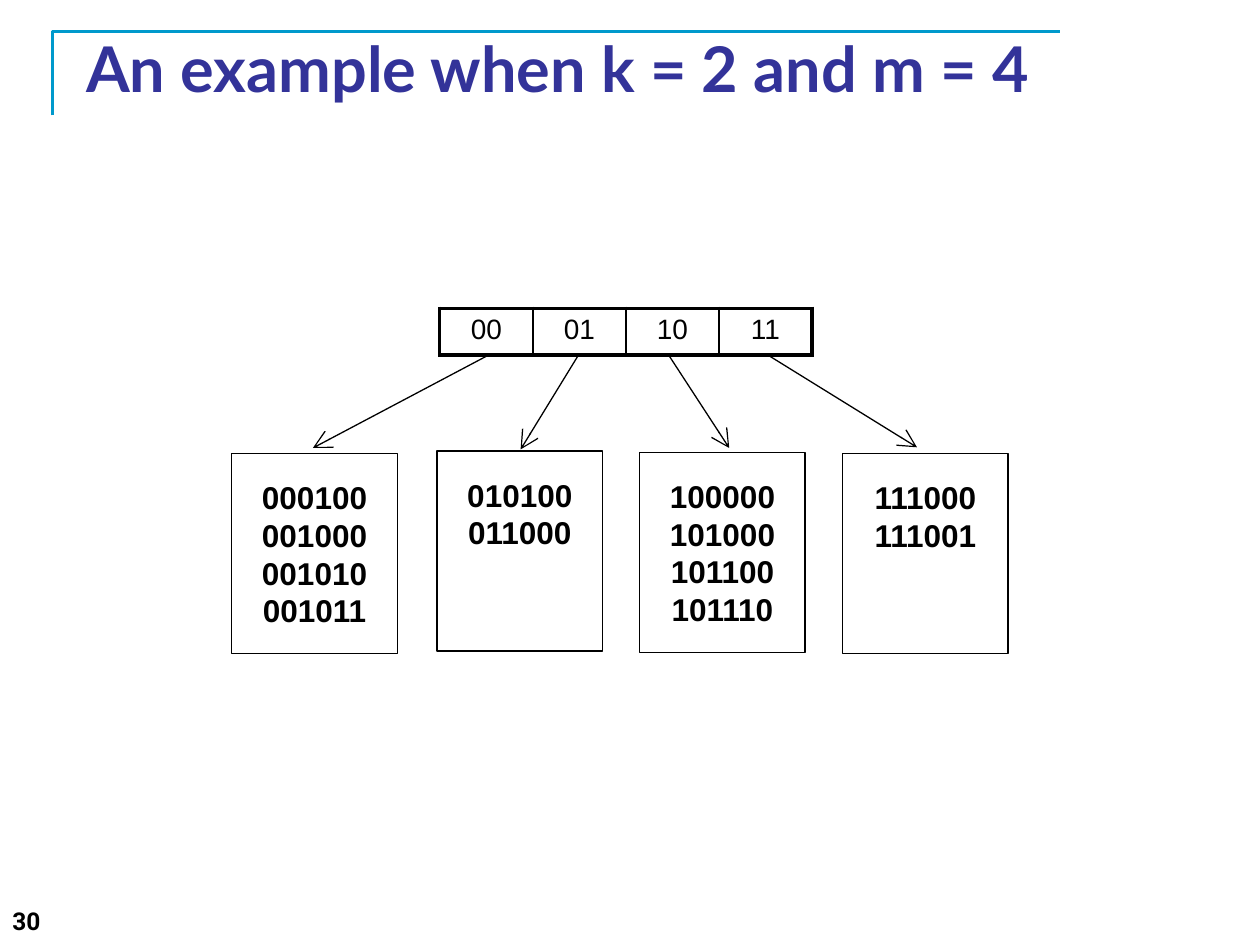
from lxml import etree
from pptx import Presentation
from pptx.dml.color import RGBColor
from pptx.enum import shapes, text
from pptx.oxml.ns import qn
from pptx.util import Pt

BLACK, WHITE, NAVY, TEAL = "000000", "FFFFFF", "333399", "0099CC"
CENTER, LEFT = text.PP_ALIGN.CENTER, text.PP_ALIGN.LEFT

# Directory entry, bucket keys, bucket left and top, arrow start and end
BUCKETS = [
    ("00", ["000100", "001000", "001010", "001011"], (132.5, 259.2), (280, 202.5), (178.8, 256)),
    ("01", ["010100", "011000"], (249.8, 257.8), (330.5, 203), (297.5, 256.8)),
    ("10", ["100000", "101000", "101100", "101110"], (365.6, 258.5), (382.5, 203.5), (416.7, 256)),
    ("11", ["111000", "111001"], (481.6, 259.2), (439, 203), (524, 255.6)),
]
BUCKET_SIZE = (94.5, 114.3)


def color(value):
    return RGBColor.from_string(value)


def points(*values):
    return [Pt(value) for value in values]


def set_line(shape, value, width):
    shape.line.color.rgb = color(value)
    shape.line.width = Pt(width)


def write_line(paragraph, words, font, size, value=BLACK, bold=False, align=LEFT):
    paragraph.alignment = align
    run = paragraph.add_run()
    run.text = words
    run.font.name = font
    run.font.size = Pt(size)
    run.font.bold = bold
    run.font.color.rgb = color(value)


def add_label(slide, box, words, font, size, value, anchor):
    frame = slide.shapes.add_textbox(*points(*box)).text_frame
    frame.word_wrap = True
    frame.vertical_anchor = anchor
    write_line(frame.paragraphs[0], words, font, size, value, bold=True)


def add_title(slide, box):
    left, top, width, height = box
    builder = slide.shapes.build_freeform(*points(left, top + height))
    builder.add_line_segments([points(left, top), points(left + width, top)], close=False)
    corner = builder.convert_to_shape()
    corner.shadow.inherit = False
    corner.fill.background()
    set_line(corner, TEAL, 1.5)
    add_label(slide, (left + 12.2, top + 3.6, 612, 33.8), "An example when k = 2 and m = 4",
              "Lato", 36, NAVY, text.MSO_ANCHOR.MIDDLE)


def set_border(cell, side, width):
    border = etree.SubElement(cell._tc.get_or_add_tcPr(), qn(f"a:{side}"), w=str(Pt(width)))
    fill = etree.SubElement(border, qn("a:solidFill"))
    etree.SubElement(fill, qn("a:srgbClr"), val=BLACK)


def add_directory(slide, box):
    """Draw the row of entries with a heavy outline and thin dividers."""
    count = len(BUCKETS)
    table = slide.shapes.add_table(1, count, *points(*box)).table
    table.first_row = table.horz_banding = False
    for index, (entry, *_) in enumerate(BUCKETS):
        cell = table.cell(0, index)
        write_line(cell.text_frame.paragraphs[0], entry, "Arial", 16, align=CENTER)
        set_border(cell, "lnL", 2.25 if index == 0 else 1)
        set_border(cell, "lnR", 2.25 if index == count - 1 else 1)
        set_border(cell, "lnT", 2.25)
        set_border(cell, "lnB", 2.25)
        cell.fill.solid()
        cell.fill.fore_color.rgb = color(WHITE)


def add_bucket(slide, box, keys):
    bucket = slide.shapes.add_shape(shapes.MSO_SHAPE.RECTANGLE, *points(*box))
    bucket.shadow.inherit = False
    bucket.fill.solid()
    bucket.fill.fore_color.rgb = color(WHITE)
    set_line(bucket, BLACK, 0.75)
    frame = bucket.text_frame
    frame.word_wrap = False
    frame.vertical_anchor = text.MSO_ANCHOR.TOP
    frame.margin_top = Pt(14)
    for index, key in enumerate(keys):
        paragraph = frame.add_paragraph() if index else frame.paragraphs[0]
        paragraph.line_spacing = Pt(21.6)
        write_line(paragraph, key, "Arial", 18, bold=True, align=CENTER)


def add_arrow(slide, start, end):
    arrow = slide.shapes.add_connector(shapes.MSO_CONNECTOR.STRAIGHT, *points(*start, *end))
    set_line(arrow, BLACK, 0.75)
    etree.SubElement(arrow.line._get_or_add_ln(), qn("a:tailEnd"), type="arrow", w="lg", len="lg")
    etree.SubElement(arrow._element.spPr, qn("a:effectLst"))


def main():
    presentation = Presentation()
    presentation.slide_width, presentation.slide_height = points(720, 540)
    slide = presentation.slides.add_slide(presentation.slide_layouts[6])
    add_title(slide, (30, 18, 576, 48))
    add_label(slide, (0, 514, 225, 26), "30", "Roboto", 14, BLACK, text.MSO_ANCHOR.TOP)
    for _, keys, corner, start, end in BUCKETS:
        add_bucket(slide, corner + BUCKET_SIZE, keys)
        add_arrow(slide, start, end)
    add_directory(slide, (251.3, 176.2, 212.6, 26.6))
    presentation.save("out.pptx")


if __name__ == "__main__":
    main()
